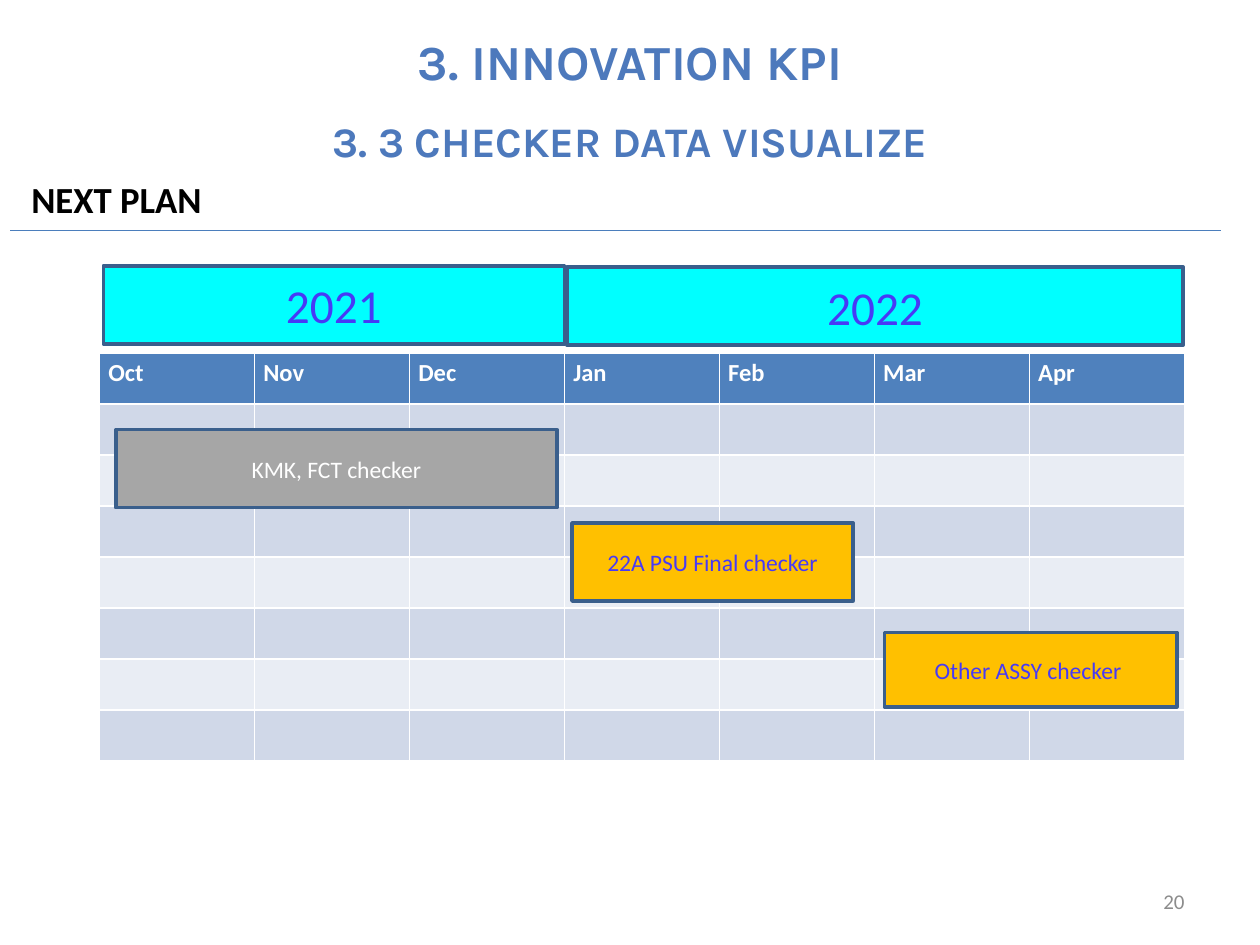
from lxml import etree
from pptx import Presentation
from pptx.dml.color import RGBColor
from pptx.enum.shapes import MSO_CONNECTOR as Connector, MSO_SHAPE as Shape
from pptx.enum.text import MSO_ANCHOR as Anchor, PP_ALIGN as Align
from pptx.oxml.ns import qn
from pptx.util import Inches, Pt

MONTHS = ["Oct", "Nov", "Dec", "Jan", "Feb", "Mar", "Apr"]
PLAN_ROWS = 7
VIOLET = "473AF6"
CYAN = "00FFFF"
AMBER = "FFC000"
TITLE_BLUE = "4D79BC"


def color(value):
    return RGBColor.from_string(value)


def style_text(paragraph, text, size, tint, bold=False, align=Align.LEFT, font="Calibri"):
    paragraph.text = text
    paragraph.alignment = align
    paragraph.font.name = font
    paragraph.font.size = Pt(size)
    paragraph.font.bold = bold
    paragraph.font.color.rgb = color(tint)


def add_label(slide, box, text, size, tint, anchor=Anchor.MIDDLE, wrap=True, **style):
    shape = slide.shapes.add_textbox(*map(Inches, box))
    frame = shape.text_frame
    frame.word_wrap = wrap
    frame.vertical_anchor = anchor
    style_text(frame.paragraphs[0], text, size, tint, **style)


def add_bar(slide, box, text, fill, size, tint):
    shape = slide.shapes.add_shape(Shape.RECTANGLE, *map(Inches, box))
    shape.shadow.inherit = False
    shape.fill.solid()
    shape.fill.fore_color.rgb = color(fill)
    shape.line.color.rgb = color("3A5F8C")
    shape.line.width = Pt(2)
    shape.text_frame.vertical_anchor = Anchor.MIDDLE
    style_text(shape.text_frame.paragraphs[0], text, size, tint, align=Align.CENTER)


def add_heading(slide, left, top, width):
    titles = [("3. INNOVATION KPI", 28), ("3. 3 CHECKER DATA VISUALIZE", 24)]
    for index, (text, size) in enumerate(titles):
        add_label(slide, (left, top + 0.64 * index, width, 0.58), text, size, TITLE_BLUE,
                  bold=True, align=Align.CENTER, font="Karla")


def add_section(slide, left, top, width):
    add_label(slide, (left + 0.07, top, 1.57, 0.45), "NEXT PLAN", 21, "000000",
              anchor=Anchor.TOP, wrap=False, bold=True)
    rule_top = Inches(top + 0.48)
    rule = slide.shapes.add_connector(
        Connector.STRAIGHT, Inches(left), rule_top, Inches(left + width), rule_top)
    rule.line.color.rgb = color("4B7EBC")
    rule.line.width = Pt(0.75)
    etree.SubElement(rule._element.spPr, qn("a:effectLst"))


def add_calendar(slide, left, top, width, height):
    table = slide.shapes.add_table(
        PLAN_ROWS + 1, len(MONTHS), *map(Inches, (left, top, width, height))).table
    for row_index, row in enumerate(table.rows):
        row.height = Inches(height / (PLAN_ROWS + 1))
        for column_index, cell in enumerate(row.cells):
            cell.margin_left = cell.margin_right = Inches(0.07)
            cell.margin_top = cell.margin_bottom = Inches(0.04)
            cell.fill.solid()
            if row_index == 0:
                fill = "4F81BD"
                style_text(cell.text_frame.paragraphs[0], MONTHS[column_index], 14,
                           "FFFFFF", bold=True)
            else:
                fill = "D0D8E8" if row_index % 2 else "E9EDF4"
            cell.fill.fore_color.rgb = color(fill)


def add_schedule(slide, left, top, width, height):
    add_calendar(slide, left, top, width, height)
    tasks = [
        ((0.13, 0.61, 3.5, 0.62), "KMK, FCT checker", "A6A6A6", "FFFFFF"),
        ((3.75, 1.35, 2.23, 0.62), "22A PSU Final checker", AMBER, VIOLET),
        ((6.23, 2.22, 2.32, 0.59), "Other ASSY checker ", AMBER, VIOLET),
    ]
    for (x, y, bar_width, bar_height), text, fill, tint in tasks:
        add_bar(slide, (left + x, top + y, bar_width, bar_height), text, fill, 13.5, tint)
    years = [("2021", 0.03, -0.69, 3.66), ("2022", 3.71, -0.68, 4.89)]
    for text, x, y, bar_width in years:
        add_bar(slide, (left + x, top + y, bar_width, 0.62), text, CYAN, 27, VIOLET)


def main():
    presentation = Presentation()
    presentation.slide_width = Inches(10)
    presentation.slide_height = Inches(7.5)
    slide = presentation.slides.add_slide(presentation.slide_layouts[6])
    add_label(slide, (7.17, 6.95, 2.33, 0.4), "20", 12, "8C8C8C", align=Align.RIGHT)
    add_schedule(slide, 0.79, 2.8, 8.61, 3.24)
    add_section(slide, 0.08, 1.35, 9.61)
    add_heading(slide, 0, 0.19, 10)
    presentation.save("out.pptx")


if __name__ == "__main__":
    main()
